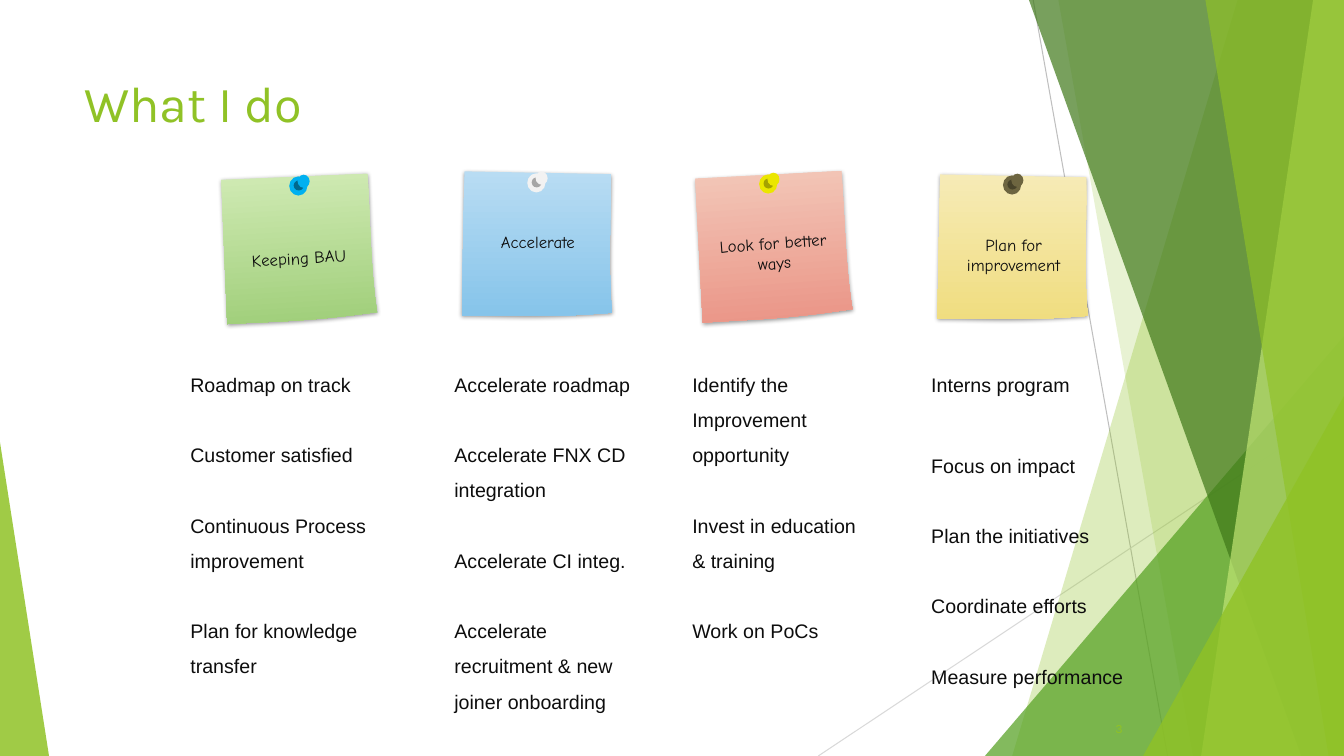
"""Build the "What I do" slide: four pinned notes above columns of activities."""
from lxml import etree
from pptx import Presentation
from pptx.dml.color import RGBColor
from pptx.enum import shapes, text
from pptx.oxml.ns import qn
from pptx.util import Pt

WIDTH, HEIGHT = 960, 540
GREEN, INK = "90C226", "0D0D0D"


def paint(part, colour, opacity=100):
    part.shadow.inherit = False
    part.line.fill.background()
    part.fill.solid()
    part.fill.fore_color.rgb = RGBColor.from_string(colour)
    if opacity < 100:
        tint = part._element.spPr.find(".//" + qn("a:srgbClr"))
        etree.SubElement(tint, qn("a:alpha"), val=str(opacity * 1000))


def write(lines, left, top, width, height, font, size, colour=INK, align=text.PP_ALIGN.LEFT):
    box = slide.shapes.add_textbox(Pt(left), Pt(top), Pt(width), Pt(height))
    box.text_frame.word_wrap = True
    box.text_frame.text = "\n".join(lines)
    for paragraph in box.text_frame.paragraphs:
        paragraph.alignment = align
        paragraph.font.name = font
        paragraph.font.size = Pt(size)
        paragraph.font.color.rgb = RGBColor.from_string(colour)
    return box


deck = Presentation()
deck.slide_width, deck.slide_height = Pt(WIDTH), Pt(HEIGHT)
slide = deck.slides.add_slide(deck.slide_layouts[6])

for x1, y1, x2, y2, colour in [(738, 0, 834, 540, "BFBFBF"), (960, 290, 584.5, 540, "D9D9D9")]:
    ray = slide.shapes.add_connector(
        shapes.MSO_CONNECTOR.STRAIGHT, Pt(x1), Pt(y1), Pt(x2), Pt(y2))
    ray.line.color.rgb = RGBColor.from_string(colour)
    ray.line.width = Pt(0.75)
    etree.SubElement(ray._element.spPr, qn("a:effectLst"))

# Each band runs from a top x and a bottom x to the right edge; each wedge is left, top, right, apex.
bands_and_wedges = [
    (GREEN, 30, (884, 723)),
    (GREEN, 20, (756, 852)),
    ("54A021", 72, (703.5, 240, WIDTH, 1)),
    ("3F7819", 70, (735, 929.5)),
    ("C0E474", 70, (938, 858)),
    (GREEN, 65, (861, 949)),
    (GREEN, 80, (816.5, 283, WIDTH, 1)),
    (GREEN, 85, (0, 316, 35, 0)),
]
for colour, opacity, extent in bands_and_wedges:
    if len(extent) == 2:
        top_x, bottom_x = extent
        outline = slide.shapes.build_freeform(Pt(top_x), 0)
        outline.add_line_segments(
            [(Pt(WIDTH), 0), (Pt(WIDTH), Pt(HEIGHT)), (Pt(bottom_x), Pt(HEIGHT))])
        facet = outline.convert_to_shape()
    else:
        left, top, right, apex = extent
        facet = slide.shapes.add_shape(
            shapes.MSO_SHAPE.ISOSCELES_TRIANGLE,
            Pt(left), Pt(top), Pt(right - left), Pt(HEIGHT - top))
        facet.adjustments[0] = apex
    paint(facet, colour, opacity)

write(["What I do"], 53.3, 48.2, 677, 104, "Karla", 36, GREEN)

note_curves = [
    [(106.5, 2), (106.5, 35), (104.5, 70.5), (107.3, 101)],
    [(107.3, 101), (54, 105), (35, 103), (0, 103)],
]
note_outline = [
    tuple((1 - t) ** 3 * a + 3 * (1 - t) ** 2 * t * b + 3 * (1 - t) * t ** 2 * c + t ** 3 * d
          for a, b, c, d in zip(*curve))
    for curve in note_curves for t in (step / 12 for step in range(13))
]
notes = [
    ("Keeping BAU", 159.1, 125.3, -3.5, 173.5, ("D1EBB5", "9FCE79"),
     (206.6, 126), ("00B0F0", "00698E")),
    ("Accelerate", 329.8, 122.4, 0, 162, ("B8DCF3", "86C4EA"),
     (376.6, 123.8), ("F2F2F2", "A6A6A6")),
    ("Look for better ways", 498.2, 123.8, -4.1, 162.7, ("F3C8B9", "EA9486"),
     (542.2, 124.6), ("EBE600", "A6A200")),
    ("Plan for improvement", 669.6, 124.6, 0, 164.2, ("F6EBB6", "F0DD80"),
     (716.4, 125.3), ("6D6540", "48432A")),
]
for label, left, top, turn, label_top, shades, (pin_x, pin_y), (pin, pin_shade) in notes:
    outline = slide.shapes.build_freeform(Pt(left + 2), Pt(top))
    outline.add_line_segments([(Pt(left + x), Pt(top + y)) for x, y in note_outline])
    note = outline.convert_to_shape()
    note.rotation = turn
    paint(note, shades[0])
    note.fill.gradient()
    note.fill.gradient_angle = 270
    for stop, shade in zip(note.fill.gradient_stops, shades):
        stop.color.rgb = RGBColor.from_string(shade)
    shadow = etree.SubElement(
        note._element.spPr.find(qn("a:effectLst")), qn("a:outerShdw"),
        blurRad=str(Pt(3)), dist=str(Pt(1)), dir="5400000", algn="t", rotWithShape="0")
    shadow_colour = etree.SubElement(shadow, qn("a:srgbClr"), val="000000")
    etree.SubElement(shadow_colour, qn("a:alpha"), val="40000")

    caption = write([label], left + 6.2, label_top, 96.5, 21.6, "Comic Neue", 12,
                    align=text.PP_ALIGN.CENTER)
    if len(label) > 12:
        caption.height = Pt(36)
    caption.rotation = turn

    for dx, dy, width, height, colour in [
            (0, 0, 13, 13.7, pin), (3.2, 2.9, 7.2, 7.2, pin_shade), (6, -1.2, 8.6, 9.4, pin)]:
        disc = slide.shapes.add_shape(
            shapes.MSO_SHAPE.OVAL, Pt(pin_x + dx), Pt(pin_y + dy), Pt(width), Pt(height))
        paint(disc, colour)

activities = [
    (128.9, 172.8, ["Roadmap on track", "Customer satisfied", "Continuous Process improvement",
                    "Plan for knowledge transfer"]),
    (317.5, 141.1, ["Accelerate roadmap", "Accelerate FNX CD integration",
                    "Accelerate CI integ.", "Accelerate recruitment & new joiner onboarding"]),
    (487.4, 142.6, ["Identify the Improvement opportunity", "Invest in education & training",
                    "Work on PoCs"]),
    (658.1, 172.8, ["Interns program", "Focus on impact", "Plan the initiatives",
                    "Coordinate efforts", "Measure performance"]),
]
for left, width, items in activities:
    column = write(items, left, 254.2, width, 265, "Arial", 14)
    for paragraph in column.text_frame.paragraphs:
        paragraph.line_spacing = 1.5
    for paragraph in column.text_frame.paragraphs[1:]:
        paragraph.space_before = Pt(25.1)
column.text_frame.paragraphs[1].space_before = Pt(32.6)

write(["3"], 760, 511.5, 49, 20, "Karla", 9, GREEN, text.PP_ALIGN.RIGHT)

deck.save("out.pptx")
